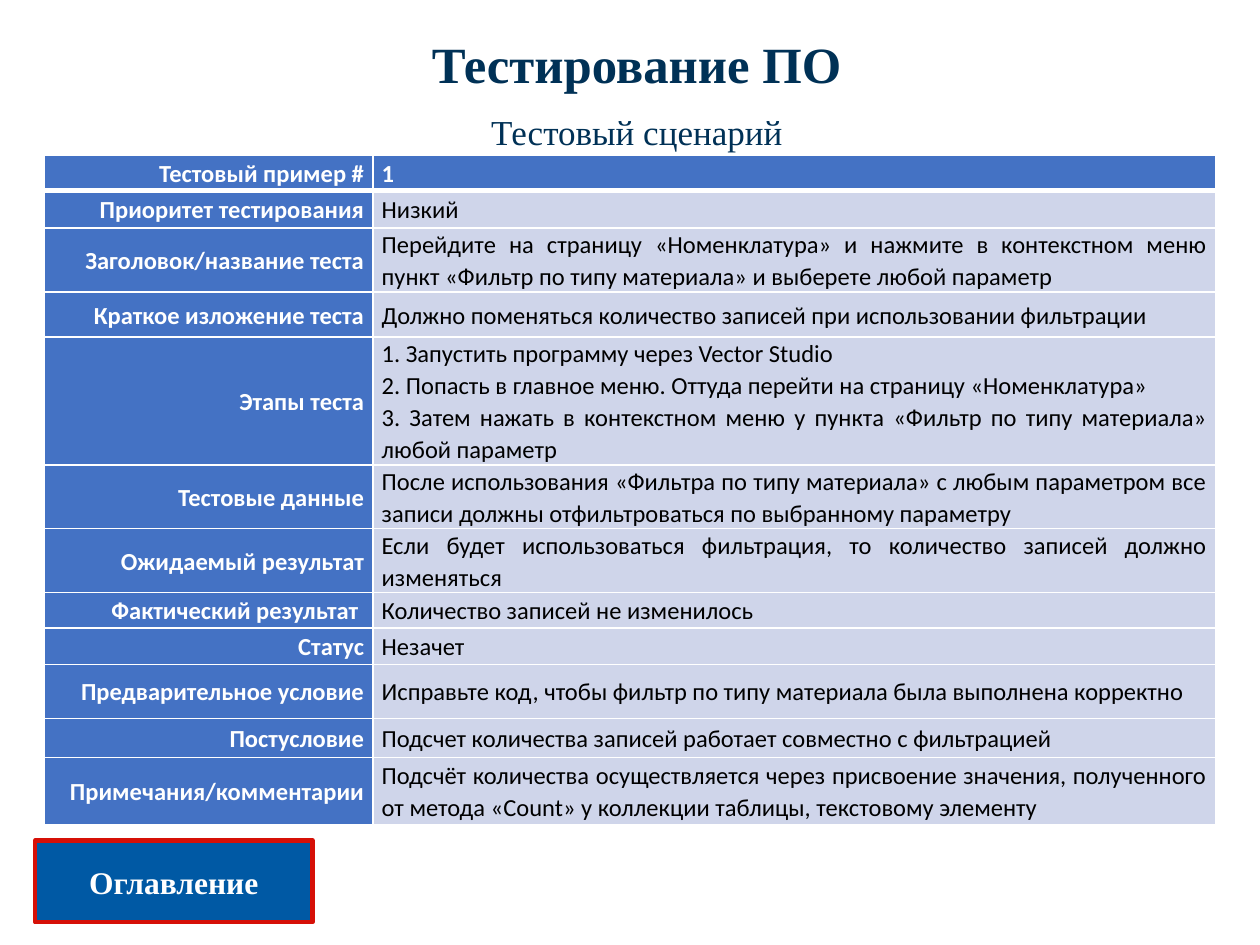
from typing import NamedTuple

from lxml.etree import SubElement
from pptx import Presentation
from pptx.dml.color import RGBColor
from pptx.enum.shapes import MSO_SHAPE
from pptx.enum.text import MSO_ANCHOR, MSO_AUTO_SIZE, PP_ALIGN
from pptx.oxml.ns import qn
from pptx.util import Inches, Pt

NAVY = RGBColor(0x00, 0x31, 0x56)
BLUE = RGBColor(0x44, 0x72, 0xC4)
PALE = RGBColor(0xCF, 0xD5, 0xEA)
BUTTON = RGBColor(0x00, 0x59, 0xA4)
RED = RGBColor(0xD6, 0x10, 0x07)
WHITE = RGBColor(0xFF, 0xFF, 0xFF)
BLACK = RGBColor(0x00, 0x00, 0x00)
SERIF, SANS = "Times New Roman", "Calibri"

# The slide is a grid of 100 columns by 75 rows of square units.
prs = Presentation()
prs.slide_width, prs.slide_height = Inches(10), Inches(7.5)
UNIT = prs.slide_width // 100


class Box(NamedTuple):
    left: float
    top: float
    width: float
    height: float

    def emu(self) -> list[int]:
        return [round(v * UNIT) for v in self]


class Row(NamedTuple):
    height: float
    label: str
    value: str


TITLE = Box(20.7, 2.1, 59.7, 5.9)
SUBTITLE = Box(8.4, 7.6, 84.3, 4.7)
TABLE = Box(3.5, 12.3, 92.9, 52.4)
CONTENTS = Box(2.8, 66.7, 22, 6.5)
COLUMNS = (26.1, 66.9)
ROWS = [
    Row(2.8, "Тестовый пример #", "1"),
    Row(3, "Приоритет тестирования", "Низкий"),
    Row(4.9, "Заголовок/название теста",
        "Перейдите на страницу «Номенклатура» и нажмите в контекстном меню "
        "пункт «Фильтр по типу материала» и выберете любой параметр"),
    Row(3.6, "Краткое изложение теста",
        "Должно поменяться количество записей при использовании фильтрации"),
    Row(9, "Этапы теста",
        "1. Запустить программу через Vector Studio\n"
        "2. Попасть в главное меню. Оттуда перейти на страницу «Номенклатура»\n"
        "3. Затем нажать в контекстном меню у пункта «Фильтр по типу материала» "
        "любой параметр"),
    Row(5, "Тестовые данные",
        "После использования «Фильтра по типу материала» с любым параметром все "
        "записи должны отфильтроваться по выбранному параметру"),
    Row(4.3, "Ожидаемый результат",
        "Если будет использоваться фильтрация, то количество записей должно "
        "изменяться"),
    Row(2.8, "Фактический результат ", "Количество записей не изменилось"),
    Row(2.9, "Статус", "Незачет"),
    Row(4.3, "Предварительное условие",
        "Исправьте код, чтобы фильтр по типу материала была выполнена корректно"),
    Row(3.1, "Постусловие",
        "Подсчет количества записей работает совместно с фильтрацией"),
    Row(5.3, "Примечания/комментарии",
        "Подсчёт количества осуществляется через присвоение значения, полученного "
        "от метода «Count» у коллекции таблицы, текстовому элементу"),
]


def write(tf, text: str, *, size: float, color: RGBColor, font: str = SERIF,
          bold: bool = False, align=PP_ALIGN.CENTER, spacing: float = 1) -> None:
    """Fill a text frame, one paragraph for each line of text."""
    tf.word_wrap = True
    for i, line in enumerate(text.split("\n")):
        p = tf.paragraphs[0] if i == 0 else tf.add_paragraph()
        p.alignment, p.line_spacing = align, spacing
        p.space_before = Pt(0)
        r = p.add_run()
        r.text = line
        r.font.name, r.font.size, r.font.bold = font, Pt(size), bold
        r.font.color.rgb = color


def place(sp, box: Box) -> None:
    sp.left, sp.top, sp.width, sp.height = box.emu()


def add_heading(sp, box: Box, text: str, **style) -> None:
    """Move and format a placeholder of the layout."""
    place(sp, box)
    tf = sp.text_frame
    write(tf, text, color=NAVY, **style)
    tf.auto_size = MSO_AUTO_SIZE.NONE
    tf.vertical_anchor = MSO_ANCHOR.TOP


def set_borders(cell, **widths: float) -> None:
    """Draw white edges; must come before the cell's fill in the XML."""
    tc_pr = cell._tc.get_or_add_tcPr()
    for edge in ("L", "R", "T", "B"):
        ln = SubElement(tc_pr, qn(f"a:ln{edge}"), w=str(Pt(widths.get(edge, 1))))
        fill = SubElement(ln, qn("a:solidFill"))
        SubElement(fill, qn("a:srgbClr"), val=str(WHITE))


def format_cell(cell, text: str, row: int, is_label: bool) -> None:
    strong = is_label or row == 0
    set_borders(cell, T=3 if row == 1 else 1, B=3 if row == 0 else 1)
    cell.fill.solid()
    cell.fill.fore_color.rgb = BLUE if strong else PALE
    cell.margin_left = cell.margin_right = Inches(0.07)
    cell.margin_top = cell.margin_bottom = 0
    cell.vertical_anchor = MSO_ANCHOR.MIDDLE
    write(cell.text_frame, text, size=14, font=SANS, bold=strong, spacing=1.07,
          color=WHITE if strong else BLACK,
          align=PP_ALIGN.RIGHT if is_label else PP_ALIGN.JUSTIFY)


def add_test_table(s) -> None:
    table = s.shapes.add_table(len(ROWS), len(COLUMNS), *TABLE.emu()).table
    for column, width in zip(table.columns, COLUMNS):
        column.width = round(width * UNIT)
    for i, row in enumerate(ROWS):
        table.rows[i].height = round(row.height * UNIT)
        format_cell(table.cell(i, 0), row.label, i, True)
        format_cell(table.cell(i, 1), row.value, i, False)


def add_contents_button(s) -> None:
    sp = s.shapes.add_shape(MSO_SHAPE.RECTANGLE, *CONTENTS.emu())
    sp.shadow.inherit = False
    sp.fill.solid()
    sp.fill.fore_color.rgb = BUTTON
    sp.line.color.rgb = RED
    sp.line.width = Pt(2.5)
    sp.text_frame.vertical_anchor = MSO_ANCHOR.MIDDLE
    write(sp.text_frame, "Оглавление", size=18, color=WHITE, bold=True)


def main() -> None:
    s = prs.slides.add_slide(prs.slide_layouts[0])
    add_heading(s.shapes.title, TITLE, "Тестирование ПО", size=29, bold=True)
    add_heading(s.placeholders[1], SUBTITLE, "Тестовый сценарий", size=20,
                spacing=1.2)
    add_test_table(s)
    add_contents_button(s)
    prs.save("out.pptx")


if __name__ == "__main__":
    main()
